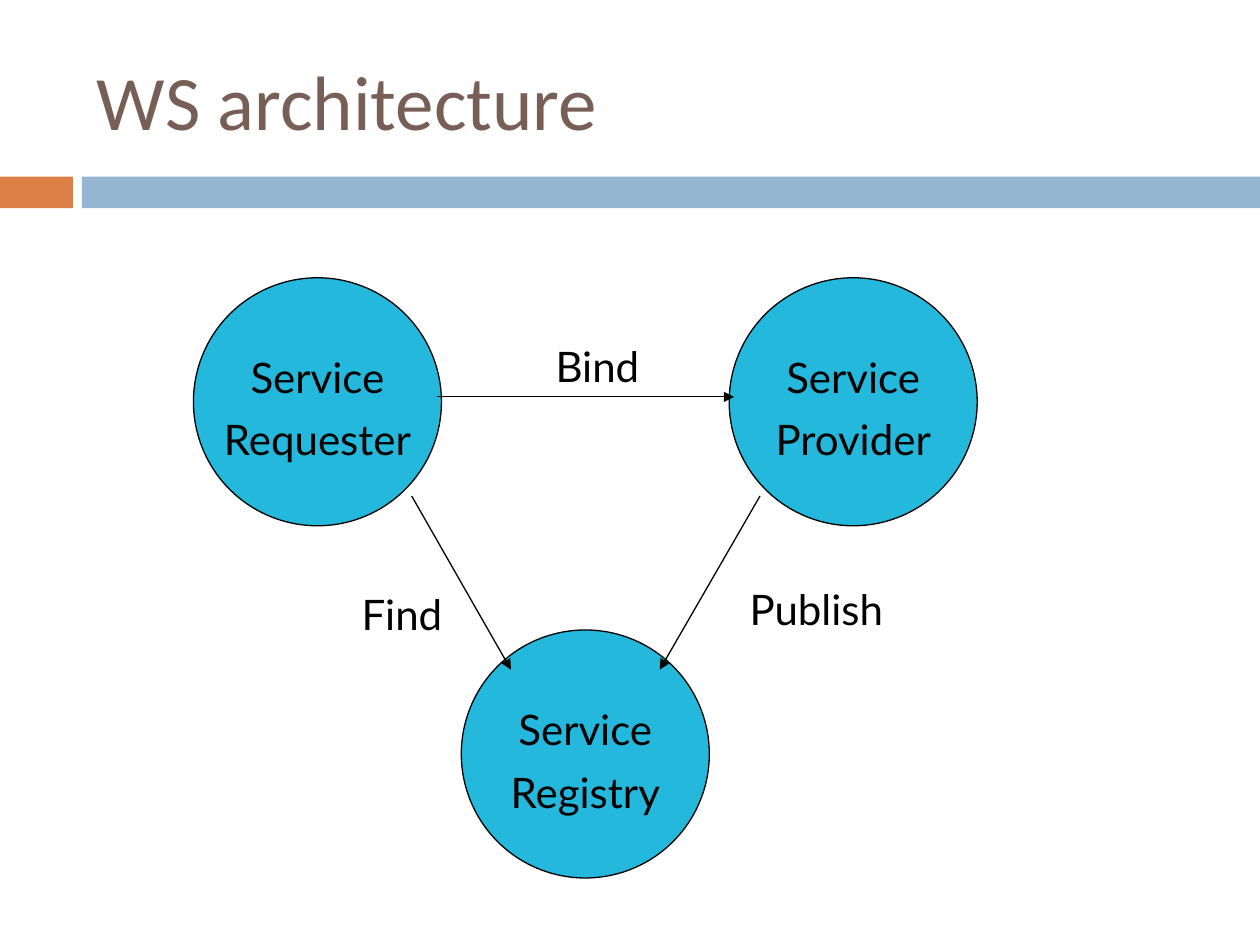
from typing import NamedTuple

from lxml import etree
from pptx import Presentation
from pptx import util as u
from pptx.dml.color import RGBColor
from pptx.enum import shapes, text
from pptx.oxml.ns import qn

BLACK = "000000"
DIAMETER = 5


class Node(NamedTuple):
    name: str
    x: float
    y: float


class Arrow(NamedTuple):
    x1: float
    y1: float
    x2: float
    y2: float


class Label(NamedTuple):
    name: str
    x: float
    y: float
    w: float


BARS = [(0, 1.47, "DD8047"), (1.65, 23.75, "94B6D2")]
NODES = [
    Node("Service\nRequester", 3.9, 5.6),
    Node("Service\nProvider", 14.7, 5.6),
    Node("Service\nRegistry", 9.3, 12.7),
]
ARROWS = [
    Arrow(8.8, 8, 14.8, 8),
    Arrow(15.32, 10, 13.3, 13.5),
    Arrow(8.3, 10, 10.3, 13.5),
]
LABELS = [
    Label("Bind", 10.95, 6.5, 2.18),
    Label("Find", 7.04, 11.5, 2.13),
    Label("Publish", 14.86, 11.4, 3.28),
]


def rgb(value: str) -> RGBColor:
    return RGBColor.from_string(value)


def write(sp, content: str, *, size=24, font="Lato", color=BLACK, spacing=1.24,
          align=text.PP_ALIGN.LEFT, anchor=text.MSO_ANCHOR.TOP, wrap=False) -> None:
    """Fill a shape with one paragraph per line of content."""
    tf = sp.text_frame
    tf.text = content
    tf.auto_size = text.MSO_AUTO_SIZE.NONE
    tf.word_wrap = wrap
    tf.vertical_anchor = anchor
    for p in tf.paragraphs:
        p.alignment = align
        p.line_spacing = spacing
        for r in p.runs:
            r.font.size = u.Pt(size)
            r.font.name = font
            r.font.color.rgb = rgb(color)


def add_filled(slide, kind, x: float, y: float, w: float, h: float, fill: str):
    sp = slide.shapes.add_shape(kind, u.Cm(x), u.Cm(y), u.Cm(w), u.Cm(h))
    sp.shadow.inherit = False
    sp.fill.solid()
    sp.fill.fore_color.rgb = rgb(fill)
    sp.line.fill.background()
    return sp


def add_node(slide, node: Node) -> None:
    sp = add_filled(slide, shapes.MSO_SHAPE.OVAL, node.x, node.y,
                    DIAMETER, DIAMETER, "23B8DC")
    sp.line.color.rgb = rgb(BLACK)
    sp.line.width = u.Pt(0.75)
    write(sp, node.name, align=text.PP_ALIGN.CENTER, anchor=text.MSO_ANCHOR.MIDDLE)


def add_arrow(slide, arrow: Arrow) -> None:
    cx = slide.shapes.add_connector(shapes.MSO_CONNECTOR.STRAIGHT,
                                    *(u.Cm(v) for v in arrow))
    cx.line.color.rgb = rgb(BLACK)
    cx.line.width = u.Pt(0.75)
    etree.SubElement(cx.line._get_or_add_ln(), qn("a:tailEnd"), type="triangle")
    etree.SubElement(cx._element.spPr, qn("a:effectLst"))


def add_label(slide, label: Label) -> None:
    sp = slide.shapes.add_textbox(u.Cm(label.x), u.Cm(label.y), u.Cm(label.w), u.Cm(1.5))
    write(sp, label.name)


def main() -> None:
    prs = Presentation()
    prs.slide_width, prs.slide_height = u.Cm(25.4), u.Cm(19.05)
    slide = prs.slides.add_slide(prs.slide_layouts[5])

    title = slide.shapes.title
    title.left, title.top = u.Cm(1.7), u.Cm(0.64)
    title.width, title.height = u.Cm(22.66), u.Cm(2.74)
    write(title, "WS architecture", size=44, font="Calibri", color="775F55",
          spacing=1.0, anchor=text.MSO_ANCHOR.MIDDLE, wrap=True)

    for x, w, fill in BARS:
        add_filled(slide, shapes.MSO_SHAPE.RECTANGLE, x, 3.56, w, 0.64, fill)
    for node in NODES:
        add_node(slide, node)
    for arrow in ARROWS:
        add_arrow(slide, arrow)
    for label in LABELS:
        add_label(slide, label)

    prs.save("out.pptx")


if __name__ == "__main__":
    main()
